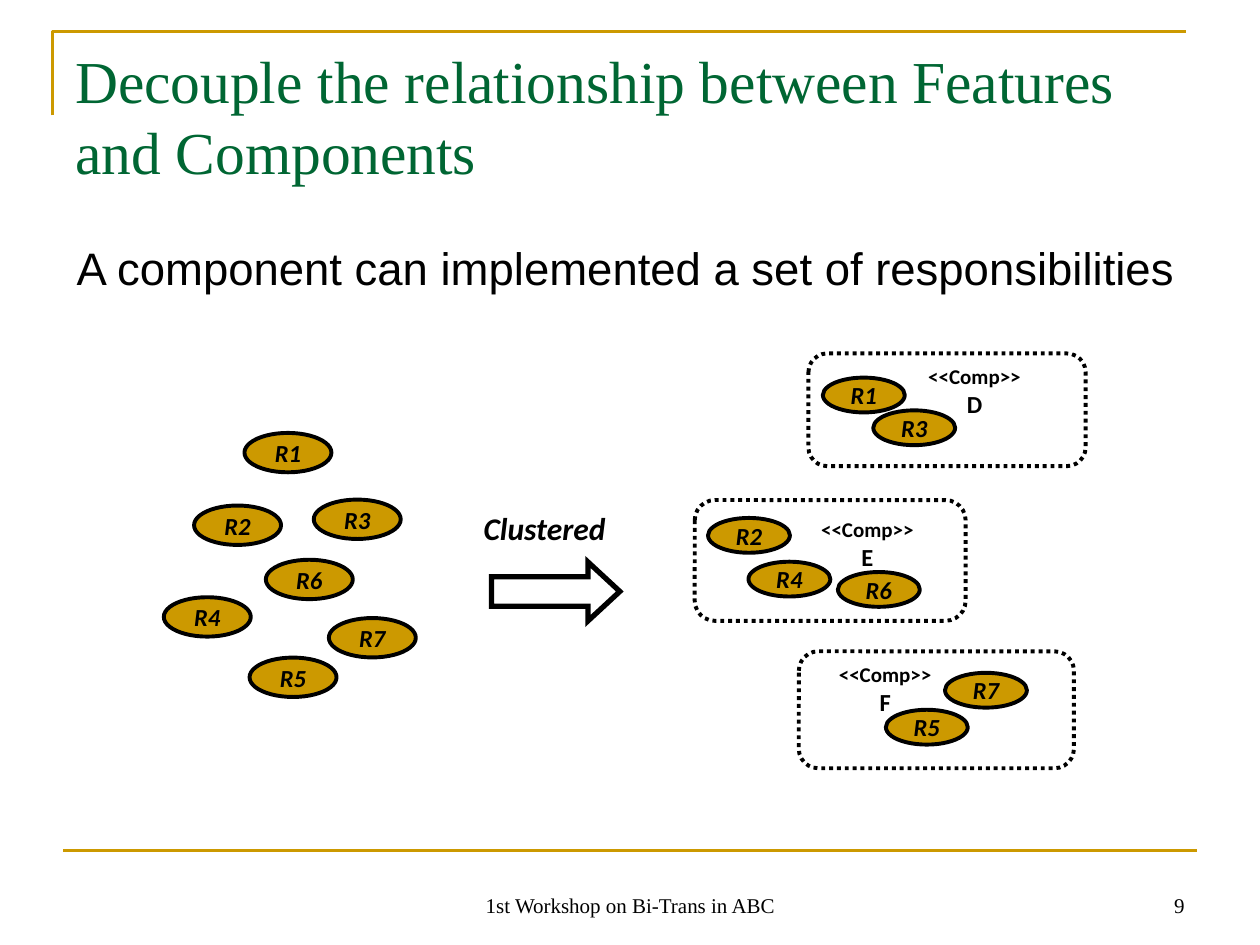
from dataclasses import dataclass

from pptx import Presentation
from pptx.dml.color import RGBColor
from pptx.enum.dml import MSO_LINE
from pptx.enum.shapes import MSO_CONNECTOR, MSO_SHAPE
from pptx.enum.text import MSO_ANCHOR, PP_ALIGN
from pptx.oxml.ns import qn
from pptx.util import Pt


@dataclass(frozen=True)
class Theme:
    gold: RGBColor = RGBColor(0xCC, 0x99, 0x00)
    green: RGBColor = RGBColor(0x00, 0x66, 0x33)
    black: RGBColor = RGBColor(0, 0, 0)
    serif: str = "Times New Roman"
    sans: str = "Arial"
    label: str = "Calibri"
    title_size: int = 34
    body_size: int = 26
    arrow_size: int = 18
    node_size: int = 14
    stereotype_size: int = 12
    footer_size: int = 12
    rule_width: float = 1.5
    outline_width: float = 2.25
    arrow_width: float = 3


THEME = Theme()

LOOSE_SIZE = (49.7, 22.5)
LOOSE = {
    "R1": (139.7, 247.4), "R2": (110.9, 288.9), "R3": (179.3, 285.5),
    "R4": (93.6, 341.3), "R5": (142.6, 375.8), "R6": (151.9, 319.9),
    "R7": (187.9, 353.2),
}
CLUSTERED_SIZE = (46.8, 19.9)
LABEL_SIZE = (67, 38.9)
# name, frame box, label left and top, responsibilities
COMPONENTS = [
    ("D", (462, 202, 158.4, 64.4), (523.4, 204.5),
     {"R1": (470.2, 215.8), "R3": (499, 234.5)}),
    ("E", (397, 285.8, 154.8, 69), (462.2, 291.6),
     {"R2": (404.6, 296), "R4": (427.7, 321), "R6": (478.8, 326.9)}),
    ("F", (456.5, 372.2, 157.2, 66.8), (472.3, 374.4),
     {"R5": (506.2, 405.6), "R7": (540, 384.5)}),
]


def points(box):
    return [Pt(v) for v in box]


def style_paragraph(p, font, size, color=THEME.black, align=PP_ALIGN.LEFT,
                    bold=False, italic=False):
    p.alignment = align
    p.font.name = font
    p.font.size = Pt(size)
    p.font.color.rgb = color
    p.font.bold = bold
    p.font.italic = italic


def add_text(slide, box, text, font, size, anchor=MSO_ANCHOR.TOP, **style):
    tf = slide.shapes.add_textbox(*points(box)).text_frame
    tf.word_wrap = True
    tf.vertical_anchor = anchor
    p = tf.paragraphs[0]
    p.text = text
    style_paragraph(p, font, size, **style)
    return tf


def add_outlined(slide, kind, box, width):
    """Add an unfilled preset shape with a black outline."""
    s = slide.shapes.add_shape(kind, *points(box))
    s.shadow.inherit = False
    s.fill.background()
    s.line.color.rgb = THEME.black
    s.line.width = Pt(width)
    return s


def add_responsibility(slide, name, position, size):
    s = add_outlined(slide, MSO_SHAPE.OVAL, (*position, *size),
                     THEME.outline_width)
    s.fill.solid()
    s.fill.fore_color.rgb = THEME.gold
    tf = s.text_frame
    tf.word_wrap = False
    tf.vertical_anchor = MSO_ANCHOR.MIDDLE
    p = tf.paragraphs[0]
    p.text = name
    style_paragraph(p, THEME.label, THEME.node_size, align=PP_ALIGN.CENTER,
                    bold=True, italic=True)


def add_component(slide, name, frame, label, members):
    for member, position in members.items():
        add_responsibility(slide, member, position, CLUSTERED_SIZE)
    s = add_outlined(slide, MSO_SHAPE.ROUNDED_RECTANGLE, frame,
                     THEME.outline_width)
    s.line.dash_style = MSO_LINE.ROUND_DOT
    tf = add_text(slide, (*label, *LABEL_SIZE), "<<Comp>>", THEME.label,
                  THEME.stereotype_size, align=PP_ALIGN.CENTER, bold=True)
    tf.margin_left = tf.margin_right = 0
    p = tf.add_paragraph()
    p.text = name
    style_paragraph(p, THEME.label, THEME.node_size, align=PP_ALIGN.CENTER,
                    bold=True)


def add_rules(slide):
    """Draw the gold corner above the title and the line above the footer."""
    corner = slide.shapes.build_freeform(Pt(30), Pt(66))
    corner.add_line_segments([(Pt(30), Pt(18)), (Pt(678), Pt(18))],
                             close=False)
    s = corner.convert_to_shape()
    s.shadow.inherit = False
    s.fill.background()
    line = slide.shapes.add_connector(MSO_CONNECTOR.STRAIGHT,
                                      *points((36, 486, 684, 486)))
    for rule in (s, line):
        rule.line.color.rgb = THEME.gold
        rule.line.width = Pt(THEME.rule_width)
    sp_pr = line._element.spPr
    sp_pr.append(sp_pr.makeelement(qn("a:effectLst"), {}))


def add_cluster_arrow(slide):
    s = add_outlined(slide, MSO_SHAPE.RIGHT_ARROW, (280.8, 321.1, 73.4, 33.8),
                     THEME.arrow_width)
    s.adjustments[1] = 0.54
    ln = s._element.spPr.find(qn("a:ln"))
    ln.append(ln.makeelement(qn("a:miter"), {"lim": "800000"}))
    add_text(slide, (269.3, 287.3, 90.7, 28.8), "Clustered", THEME.label,
             THEME.arrow_size, bold=True, italic=True)


def main():
    prs = Presentation()
    prs.slide_width, prs.slide_height = Pt(720), Pt(540)
    slide = prs.slides.add_slide(prs.slide_layouts[6])

    add_rules(slide)
    add_text(slide, (36, 21.6, 648, 90),
             "Decouple the relationship between Features and Components",
             THEME.serif, THEME.title_size, color=THEME.green)
    add_text(slide, (36.7, 133.9, 652.3, 62.6),
             "A component can implemented a set of responsibilities",
             THEME.sans, THEME.body_size)

    for name, position in LOOSE.items():
        add_responsibility(slide, name, position, LOOSE_SIZE)
    add_cluster_arrow(slide)
    for component in COMPONENTS:
        add_component(slide, *component)

    add_text(slide, (246.2, 491.8, 228.2, 36), "1st Workshop on Bi-Trans in ABC",
             THEME.serif, THEME.footer_size, MSO_ANCHOR.BOTTOM,
             align=PP_ALIGN.CENTER)
    add_text(slide, (516.2, 491.8, 167.8, 36), "9", THEME.serif,
             THEME.footer_size, MSO_ANCHOR.BOTTOM, align=PP_ALIGN.RIGHT)
    prs.save("out.pptx")


if __name__ == "__main__":
    main()
